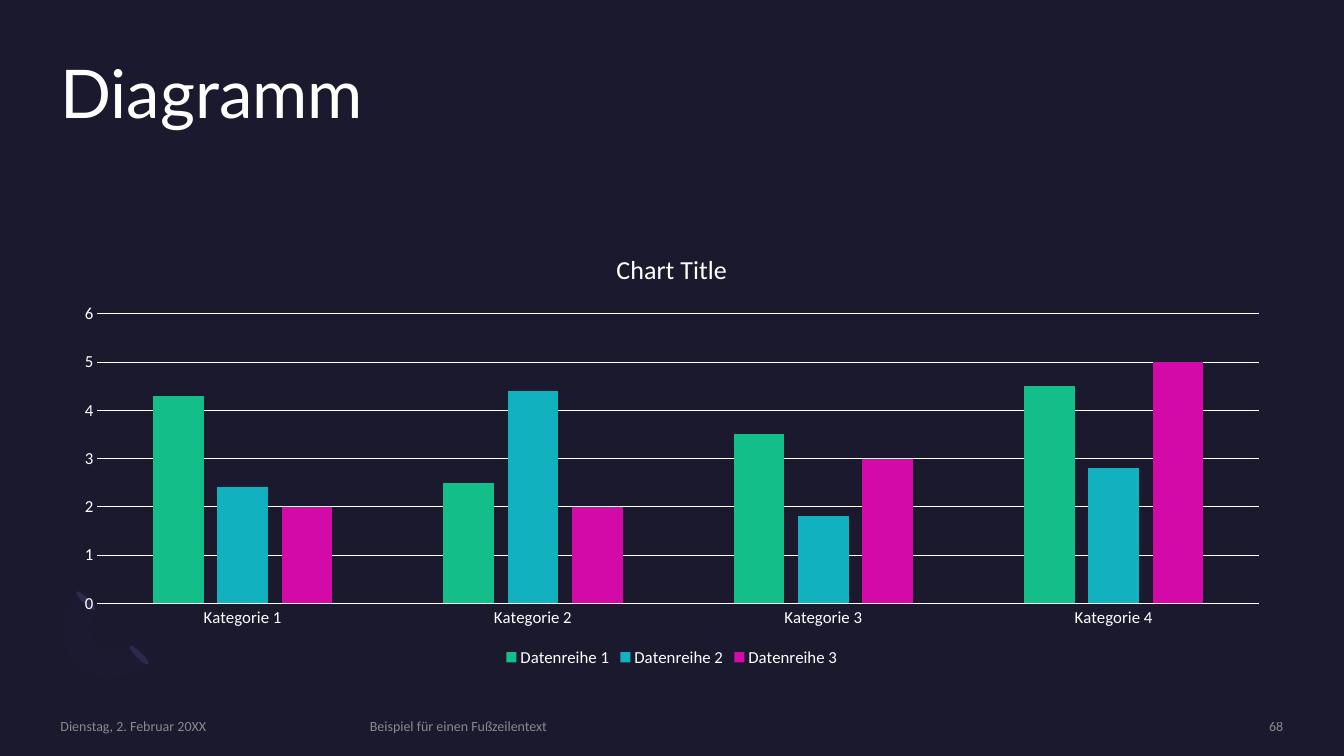
from lxml.etree import SubElement
from pptx import Presentation
from pptx.chart.data import CategoryChartData as ChartData
from pptx.dml.color import RGBColor
from pptx.enum.chart import XL_CHART_TYPE as KIND, XL_LEGEND_POSITION as LEG, XL_TICK_MARK as TICK
from pptx.enum.shapes import MSO_SHAPE as SHAPE
from pptx.enum.text import MSO_ANCHOR as ANCHOR, PP_ALIGN as ALIGN
from pptx.oxml.ns import qn
from pptx.util import Pt

NIGHT = RGBColor(0x1B, 0x19, 0x2E)
WHITE = RGBColor(0xFF, 0xFF, 0xFF)
GREY = RGBColor(0xA6, 0xA6, 0xA6)
PLUM = RGBColor(0x2C, 0x28, 0x4A)
LILAC = RGBColor(0x77, 0x71, 0xB2)
GREEN = RGBColor(0x13, 0xBE, 0x89)
TEAL = RGBColor(0x12, 0xB1, 0xBF)
PINK = RGBColor(0xD4, 0x0A, 0xA8)

deck = Presentation()
deck.slide_width, deck.slide_height = Pt(960), Pt(540)
slide = deck.slides.add_slide(deck.slide_layouts[6])
slide.background.fill.solid()
slide.background.fill.fore_color.rgb = NIGHT
shapes = slide.shapes


def fade(fill, percent):
    color = fill._xPr.find(".//" + qn("a:srgbClr"))
    SubElement(color, qn("a:alpha"), val=str(percent * 1000))


def add_text(left, top, width, height, text, size, face, color):
    box = shapes.add_textbox(Pt(left), Pt(top), Pt(width), Pt(height))
    frame = box.text_frame
    frame.word_wrap = True
    frame.margin_left = frame.margin_right = 0
    frame.margin_top = frame.margin_bottom = 0
    par = frame.paragraphs[0]
    par.text = text
    par.font.size, par.font.name = Pt(size), face
    par.font.color.rgb = color
    return frame, par


# Ornament: two slanted ellipses and a faint crescent
for left, top in [(97.2, 458.6), (59, 419.8)]:
    leaf = shapes.add_shape(SHAPE.OVAL, Pt(left), Pt(top), Pt(4.3), Pt(18.7))
    leaf.rotation = 135
    leaf.shadow.inherit = False
    leaf.fill.solid()
    leaf.fill.fore_color.rgb = PLUM
    leaf.line.fill.background()

start = (54.7, 474.5)
curves = [
    [(40.3, 460.1), (41.8, 435.6), (58.3, 419)],
    [(71.3, 432)],
    [(62.6, 439.9), (61.9, 452.9), (69.1, 459.4)],
    [(76.3, 466.6), (88.6, 465.8), (97.2, 457.9)],
    [(109.4, 470.9)],
    [(93.6, 486.7), (68.4, 488.9), start],
]
dots = [start]
for curve in curves:
    if len(curve) == 1:
        dots += curve
        continue
    ends = [dots[-1], *curve]
    for step in range(1, 13):
        t = step / 12
        parts = [(1 - t) ** 3, 3 * t * (1 - t) ** 2, 3 * t * t * (1 - t), t ** 3]
        dots.append(tuple(sum(p * e[i] for p, e in zip(parts, ends)) for i in (0, 1)))
dots = [(Pt(x), Pt(y)) for x, y in dots]
path = shapes.build_freeform(*dots[0])
path.add_line_segments(dots[1:])
moon = path.convert_to_shape()
moon.shadow.inherit = False
moon.fill.solid()
moon.fill.fore_color.rgb = LILAC
fade(moon.fill, 2)
moon.line.fill.background()

# Title
frame, par = add_text(43.2, 43.2, 873.4, 105, "Diagramm", 48, "Lato", WHITE)
par.line_spacing = 0.9

# Column chart
series = [
    ("Datenreihe 1", (4.3, 2.5, 3.5, 4.5), GREEN),
    ("Datenreihe 2", (2.4, 4.4, 1.8, 2.8), TEAL),
    ("Datenreihe 3", (2, 2, 3, 5), PINK),
]
data = ChartData()
data.categories = [f"Kategorie {n}" for n in range(1, 5)]
for name, values, color in series:
    data.add_series(name, values)
chart = shapes.add_chart(
    KIND.COLUMN_CLUSTERED, Pt(43.2), Pt(166.3), Pt(873.4), Pt(313.2), data
).chart
chart.font.size, chart.font.name = Pt(12), "Calibri"
chart.font.color.rgb = WHITE

chart.has_title = True
head = chart.chart_title.text_frame.paragraphs[0]
head.text = "Chart Title"
head.font.size, head.font.name, head.font.bold = Pt(18.6), "Calibri", False
head.font.color.rgb = WHITE

chart.has_legend = True
chart.legend.position = LEG.BOTTOM
chart.legend.include_in_layout = False

plot = chart.plots[0]
plot.gap_width, plot.overlap = 219, -27
plot.vary_by_categories = False
for bars, (name, values, color) in zip(plot.series, series):
    bars.format.fill.solid()
    bars.format.fill.fore_color.rgb = color

base, scale = chart.category_axis, chart.value_axis
for axis in (base, scale):
    axis.major_tick_mark = axis.minor_tick_mark = TICK.NONE
scale.minimum_scale, scale.maximum_scale, scale.major_unit = 0, 6, 1
scale.format.line.fill.background()
for line in (base.format.line, scale.major_gridlines.format.line):
    line.color.rgb = WHITE
    line.width = Pt(0.75)

# Footer
for left, width, text, align in [
    (43.2, 207.4, "Dienstag, 2. Februar 20XX", ALIGN.LEFT),
    (264.2, 502.6, "Beispiel für einen Fußzeilentext", ALIGN.LEFT),
    (783.4, 133.2, "68", ALIGN.RIGHT),
]:
    frame, par = add_text(left, 512.6, width, 12.2, text, 10, "Calibri", GREY)
    frame.vertical_anchor = ANCHOR.MIDDLE
    par.alignment = align
    fade(par.font.fill, 80)

deck.save("out.pptx")
